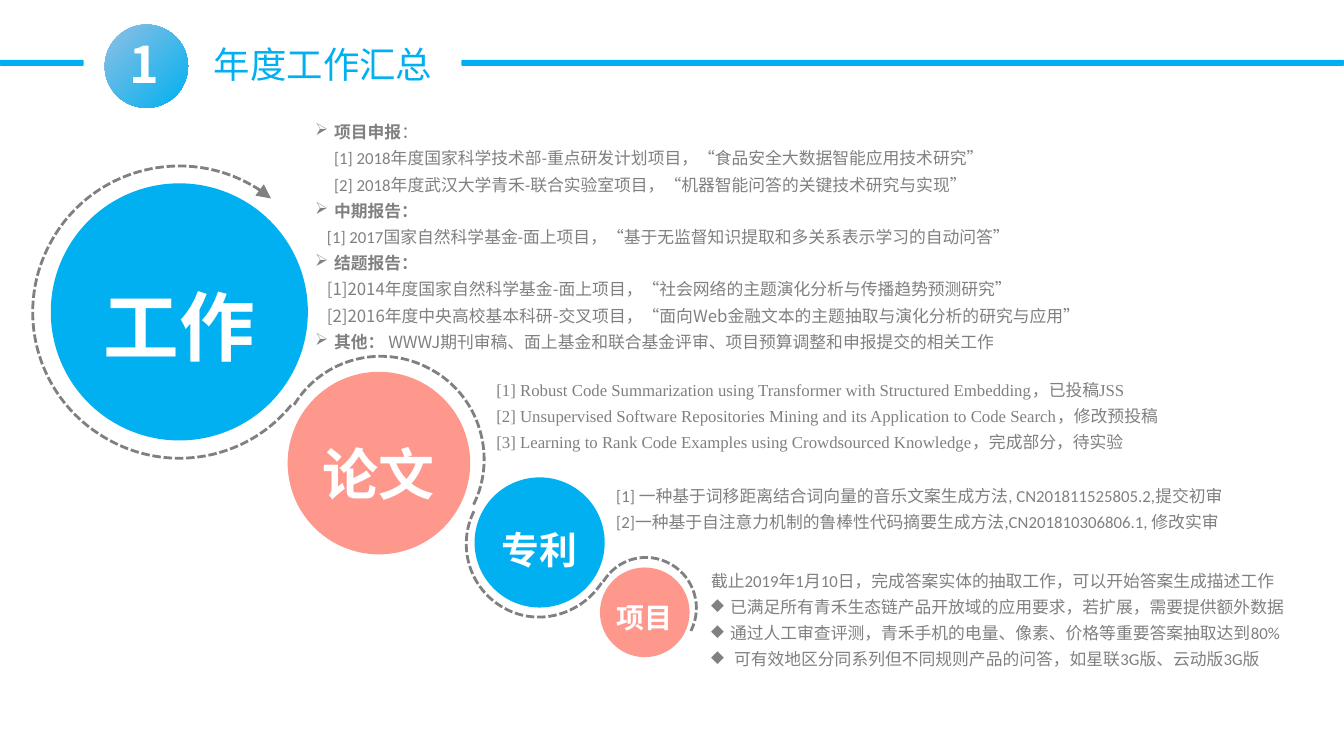
from dataclasses import dataclass
from math import cos, radians, sin

from lxml import etree
from pptx import Presentation
from pptx.dml.color import RGBColor
from pptx.enum.dml import MSO_LINE
from pptx.enum.shapes import MSO_SHAPE
from pptx.enum.text import MSO_ANCHOR, MSO_AUTO_SIZE, PP_ALIGN
from pptx.oxml.ns import qn
from pptx.util import Cm, Pt

OVAL, ROUNDED = MSO_SHAPE.OVAL, MSO_SHAPE.ROUNDED_RECTANGLE
SHORT_DASH = MSO_LINE.SQUARE_DOT
MIDDLE = MSO_ANCHOR.MIDDLE
GROW = MSO_AUTO_SIZE.SHAPE_TO_FIT_TEXT
LEFT, CENTER, JUSTIFY = PP_ALIGN.LEFT, PP_ALIGN.CENTER, PP_ALIGN.JUSTIFY


@dataclass(frozen=True)
class Theme:
    blue: RGBColor = RGBColor.from_string("00B0F0")
    pale_blue: RGBColor = RGBColor.from_string("8FC0E4")
    coral: RGBColor = RGBColor.from_string("FE978C")
    gray: RGBColor = RGBColor.from_string("808080")
    white: RGBColor = RGBColor.from_string("FFFFFF")
    chinese: str = "Noto Sans CJK SC"
    body: str = "Calibri"
    serif: str = "Times New Roman"
    label: str = "Arial Narrow"
    bullet: str = "OpenSymbol"
    title_size: int = 26
    number_size: int = 36
    body_size: int = 12
    disc_sizes: tuple = (54, 40, 27, 20)
    spacing: float = 1.3
    tilt: float = 29.1


THEME = Theme()


@dataclass(frozen=True)
class Line:
    runs: tuple
    indent: float = 0
    bullet: str = ""


def plain(text, indent=0, bullet="", font=THEME.body):
    return Line(((text, font, False),), indent, bullet)


def heading(text, *more):
    return Line(((text, THEME.chinese, True), *more), 0.48, "➢")


WORK = (
    heading("项目申报", ("：", THEME.body, False)),
    plain("[1] 2018年度国家科学技术部-重点研发计划项目，“食品安全大数据智能应用技术研究”", 0.48),
    plain("[2] 2018年度武汉大学青禾-联合实验室项目，“机器智能问答的关键技术研究与实现”", 0.48),
    heading("中期报告："),
    plain("[1] 2017国家自然科学基金-面上项目，“基于无监督知识提取和多关系表示学习的自动问答”", 0.3),
    heading("结题报告："),
    plain("[1]2014年度国家自然科学基金-面上项目，“社会网络的主题演化分析与传播趋势预测研究”",
          0.3, font=THEME.chinese),
    plain("[2]2016年度中央高校基本科研-交叉项目，“面向Web金融文本的主题抽取与演化分析的研究与应用”",
          0.3, font=THEME.chinese),
    heading("其他： ", ("WWWJ期刊审稿、面上基金和联合基金评审、项目预算调整和申报提交的相关工作",
                     THEME.chinese, False)),
)
PAPERS = tuple(plain(text, font=THEME.serif) for text in (
    "[1] Robust Code Summarization using Transformer with Structured Embedding，已投稿JSS",
    "[2] Unsupervised Software Repositories Mining and its Application to Code Search，修改预投稿",
    "[3] Learning to Rank Code Examples using Crowdsourced Knowledge，完成部分，待实验",
))
PATENTS = (
    plain("[1] 一种基于词移距离结合词向量的音乐文案生成方法, CN201811525805.2,提交初审"),
    plain("[2]一种基于自注意力机制的鲁棒性代码摘要生成方法,CN201810306806.1, 修改实审"),
)
PROJECT = (
    plain("截止2019年1月10日，完成答案实体的抽取工作，可以开始答案生成描述工作"),
    plain("已满足所有青禾生态链产品开放域的应用要求，若扩展，需要提供额外数据", 0.48, "◆"),
    plain("通过人工审查评测，青禾手机的电量、像素、价格等重要答案抽取达到80%", 0.48, "◆"),
    plain("可有效地区分同系列但不同规则产品的问答，如星联3G版、云动版3G版", 0.58, "◆"),
)
TEXT_BLOCKS = (
    (7.75, 2.82, 21.69, 6.2, WORK),
    (12.32, 9.32, 17.96, 2.18, PAPERS),
    (15.34, 11.99, 16.1, 1.52, PATENTS),
    (17.73, 14.12, 14.99, 2.87, PROJECT),
)
DISCS = (
    ("工作", 1.28, 4.62, 6.48, THEME.blue),
    ("论文", 7.25, 9.37, 4.6, THEME.coral),
    ("专利", 11.96, 12.03, 3.28, THEME.blue),
    ("项目", 15.12, 14.3, 2.26, THEME.coral),
)
ARCS = (
    ((4.48, 7.85), ((7.34, 10.21), (6.25, 11.56), (4.29, 11.96), (2.72, 11.07),
                    (0.94, 10.08), (0.3, 7.85), (1.3, 6.07), (2.29, 4.29),
                    (4.55, 3.66), (6.32, 4.65), (6.5, 4.75), (6.65, 4.85), (6.83, 5))),
    ((10.26, 10.4), ((7.42, 10.21), (8.13, 9.04), (9.65, 8.64), (10.87, 9.32),
                     (12.09, 9.98), (12.55, 11.51), (11.94, 12.73))),
    ((13.13, 14.54), ((11.94, 12.88), (11.51, 13.74), (11.81, 14.83), (12.7, 15.32),
                      (13.56, 15.8), (14.63, 15.49), (15.16, 14.68))),
    ((16.61, 14.76), ((15.21, 14.66), (15.57, 14.07), (16.31, 13.87), (16.92, 14.22),
                      (17.5, 14.55), (17.73, 15.29), (17.42, 15.9))),
)


def turn_back(point, pivot, degrees):
    angle = radians(degrees)
    across, down = point[0] - pivot[0], point[1] - pivot[1]
    return (Cm(pivot[0] + across * cos(angle) + down * sin(angle)),
            Cm(pivot[1] - across * sin(angle) + down * cos(angle)))


class SlideBuilder:
    """Draw styled elements, measured in centimetres, on one slide."""

    def __init__(self, slide, theme):
        self.slide, self.theme = slide, theme

    def format_run(self, run, size, color, font, bold):
        run.font.size, run.font.bold, run.font.name = Pt(size), bold, font
        run.font.color.rgb = color
        etree.SubElement(run.font._element, qn("a:ea"), typeface=self.theme.chinese)

    def shape(self, kind, left, top, width, height, color):
        shape = self.slide.shapes.add_shape(kind, Cm(left), Cm(top), Cm(width), Cm(height))
        shape.shadow.inherit = False
        shape.fill.solid()
        shape.fill.fore_color.rgb = color
        shape.line.fill.background()
        return shape

    def badge(self, left, top, diameter):
        badge = self.shape(OVAL, left, top, diameter, diameter, self.theme.blue)
        badge.fill.gradient()
        badge.fill.gradient_angle = 315
        for stop, color in zip(badge.fill.gradient_stops, (self.theme.pale_blue, self.theme.blue)):
            stop.color.rgb = color

    def disc(self, label, left, top, diameter, color, size):
        frame = self.shape(OVAL, left, top, diameter, diameter, color).text_frame
        frame.margin_left = frame.margin_right = frame.margin_top = frame.margin_bottom = 0
        frame.vertical_anchor = MIDDLE
        frame.text = label
        paragraph = frame.paragraphs[0]
        paragraph.alignment, paragraph.line_spacing = CENTER, self.theme.spacing
        self.format_run(paragraph.runs[0], size, self.theme.white, self.theme.label, True)

    def arc(self, pivot, controls, arrow):
        start, *others = [turn_back(point, pivot, self.theme.tilt) for point in controls]
        builder = self.slide.shapes.build_freeform(*start)
        builder.add_line_segments(others, close=False)
        arc = builder.convert_to_shape()
        outline = next(arc._element.iter(qn("a:path")))
        segments = outline.findall(qn("a:lnTo"))
        for first in range(0, len(segments), 3):
            curve = etree.SubElement(outline, qn("a:cubicBezTo"))
            for segment in segments[first:first + 3]:
                curve.append(segment[0])
                outline.remove(segment)
        arc.rotation = self.theme.tilt
        arc.shadow.inherit = False
        arc.fill.background()
        arc.line.color.rgb = self.theme.gray
        arc.line.width = Pt(2)
        arc.line.dash_style = SHORT_DASH
        if arrow:
            stroke = arc._element.spPr.find(qn("a:ln"))
            etree.SubElement(stroke, qn("a:tailEnd"), type="triangle", w="lg", len="lg")

    def text_box(self, left, top, width, height, wrap=True):
        box = self.slide.shapes.add_textbox(Cm(left), Cm(top), Cm(width), Cm(height))
        frame = box.text_frame
        frame.word_wrap, frame.auto_size = wrap, GROW
        return frame

    def caption(self, text, left, top, width, height, size, color, alignment, bold, wrap):
        frame = self.text_box(left, top, width, height, wrap)
        frame.text = text
        paragraph = frame.paragraphs[0]
        paragraph.alignment = alignment
        self.format_run(paragraph.runs[0], size, color, self.theme.chinese, bold)

    def text_block(self, left, top, width, height, lines):
        frame = self.text_box(left, top, width, height)
        frame.margin_left = frame.margin_right = Cm(0.19)
        frame.margin_top = frame.margin_bottom = Cm(0.1)
        for index, line in enumerate(lines):
            paragraph = frame.add_paragraph() if index else frame.paragraphs[0]
            paragraph.alignment, paragraph.line_spacing = JUSTIFY, self.theme.spacing
            properties = paragraph._p.get_or_add_pPr()
            properties.set("marL", str(Cm(line.indent)))
            properties.set("indent", str(-Cm(line.indent) if line.bullet else 0))
            if line.bullet:
                etree.SubElement(properties, qn("a:buFont"), typeface=self.theme.bullet)
                etree.SubElement(properties, qn("a:buChar"), char=line.bullet)
            for text, font, bold in line.runs:
                run = paragraph.add_run()
                run.text = text
                self.format_run(run, self.theme.body_size, self.theme.gray, font, bold)


def main():
    presentation = Presentation()
    presentation.slide_width, presentation.slide_height = Cm(33.87), Cm(19.05)
    slide = presentation.slides.add_slide(presentation.slide_layouts[6])
    builder = SlideBuilder(slide, THEME)
    builder.caption("年度工作汇总", 5.14, 0.94, 6.07, 1.37, THEME.title_size, THEME.blue,
                    LEFT, False, False)
    for left, width in ((11.63, 22.24), (0, 2.11)):
        builder.shape(ROUNDED, left, 1.51, width, 0.15, THEME.blue)
    builder.badge(2.64, 0.62, 2.1)
    builder.caption("1", 1.98, 0.72, 3.33, 1.8, THEME.number_size, THEME.white,
                    CENTER, True, True)
    for index, (pivot, controls) in enumerate(ARCS):
        builder.arc(pivot, controls, arrow=index == 0)
    for disc, size in zip(DISCS, THEME.disc_sizes):
        builder.disc(*disc, size)
    for block in TEXT_BLOCKS:
        builder.text_block(*block)
    presentation.save("out.pptx")


if __name__ == "__main__":
    main()
